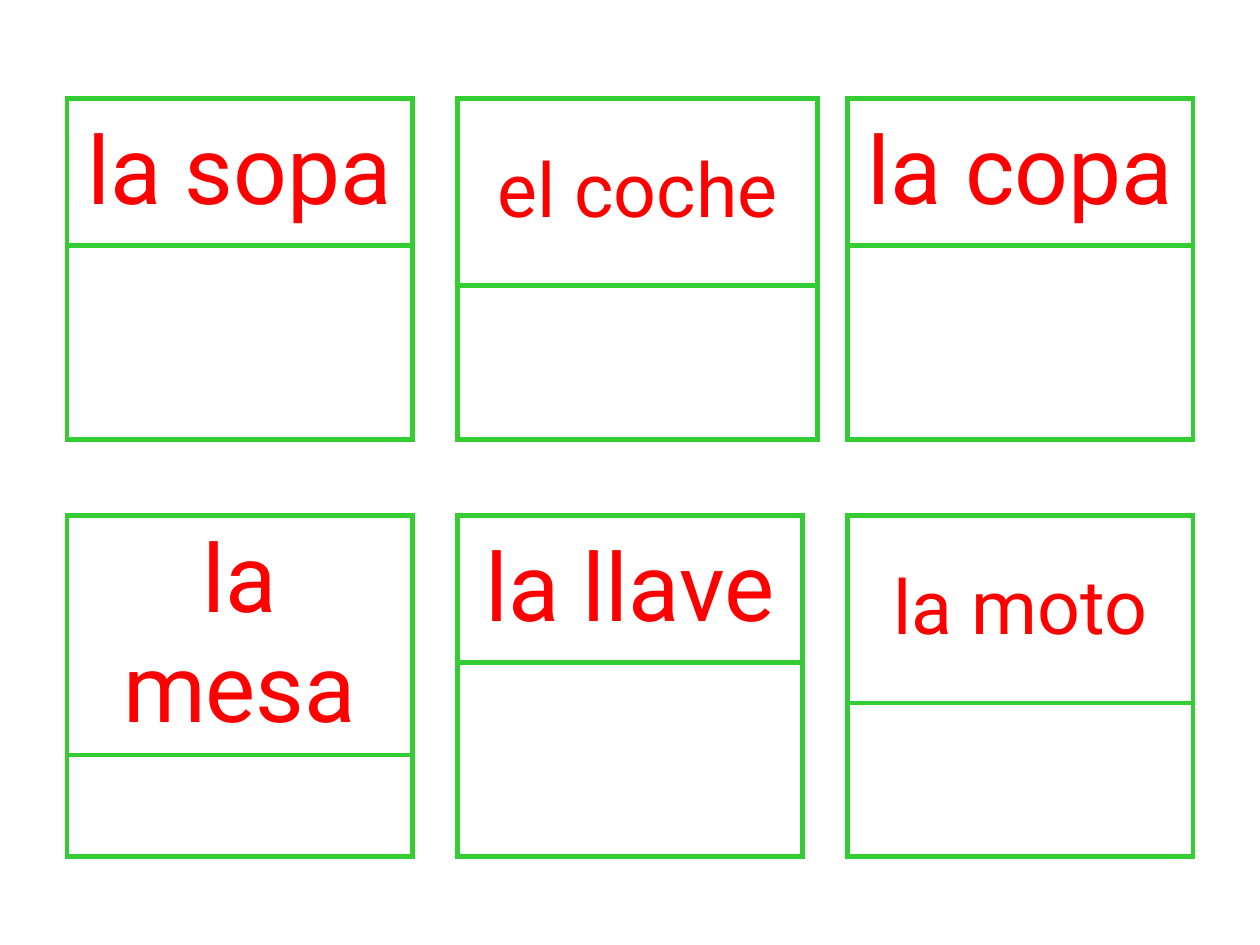
from lxml import etree
from pptx import Presentation
from pptx.dml.color import RGBColor
from pptx.enum.text import MSO_ANCHOR, PP_ALIGN
from pptx.oxml.ns import qn
from pptx.util import Cm, Pt

CENTER = PP_ALIGN.CENTER
MIDDLE = MSO_ANCHOR.MIDDLE
BLANK = 6
COLORS = {"word": "FF0000", "border": "33CC33"}
FONT = "Roboto"

# Grid of cards, in cm
LEFT, TOP = 1.35, 1.98
STEP_X, STEP_Y = 7.87, 8.41
WIDTH, HEIGHT = 6.96, 6.88
WIDE = 7.26

# Word, font size, height of the word's row, card width
CARDS = [
    [("la sopa", 54, 2.97, WIDTH), ("el coche", 43, 3.78, WIDE),
     ("la copa", 54, 2.97, WIDTH)],
    [("la mesa", 54, 4.83, WIDTH), ("la llave", 54, 2.97, WIDTH),
     ("la moto", 43, 3.78, WIDTH)],
]


def write(cell, text, size, color, font=FONT, align=CENTER, anchor=MIDDLE):
    cell.vertical_anchor = anchor
    para = cell.text_frame.paragraphs[0]
    para.alignment = align
    run = para.add_run()
    run.text = text
    run.font.name = font
    run.font.size = Pt(size)
    run.font.bold = False
    run.font.color.rgb = RGBColor.from_string(color)


def frame(cell, color, width):
    """Clear the cell's fill and draw all four borders."""
    cell.fill.background()
    props = cell._tc.get_or_add_tcPr()
    for pos, side in enumerate(("lnL", "lnR", "lnT", "lnB")):
        line = etree.Element(qn(f"a:{side}"), w=str(Pt(width)))
        fill = etree.SubElement(line, qn("a:solidFill"))
        etree.SubElement(fill, qn("a:srgbClr"), val=color)
        props.insert(pos, line)


def add_card(slide, x, y, word, size, head, width):
    """Add a word above an empty space for its drawing."""
    table = slide.shapes.add_table(
        2, 1, Cm(x), Cm(y), Cm(width), Cm(HEIGHT)).table
    table.first_row = False
    table.horz_banding = False
    table.rows[0].height = Cm(head)
    table.rows[1].height = Cm(HEIGHT - head)
    for cell in table.iter_cells():
        frame(cell, COLORS["border"], 3)
    write(table.cell(0, 0), word, size, COLORS["word"])


def main():
    deck = Presentation()
    deck.slide_width, deck.slide_height = Cm(25.4), Cm(19.05)
    slide = deck.slides.add_slide(deck.slide_layouts[BLANK])
    for row, cards in enumerate(CARDS):
        for col, card in enumerate(cards):
            add_card(slide, LEFT + col * STEP_X, TOP + row * STEP_Y, *card)
    deck.save("out.pptx")


if __name__ == "__main__":
    main()
